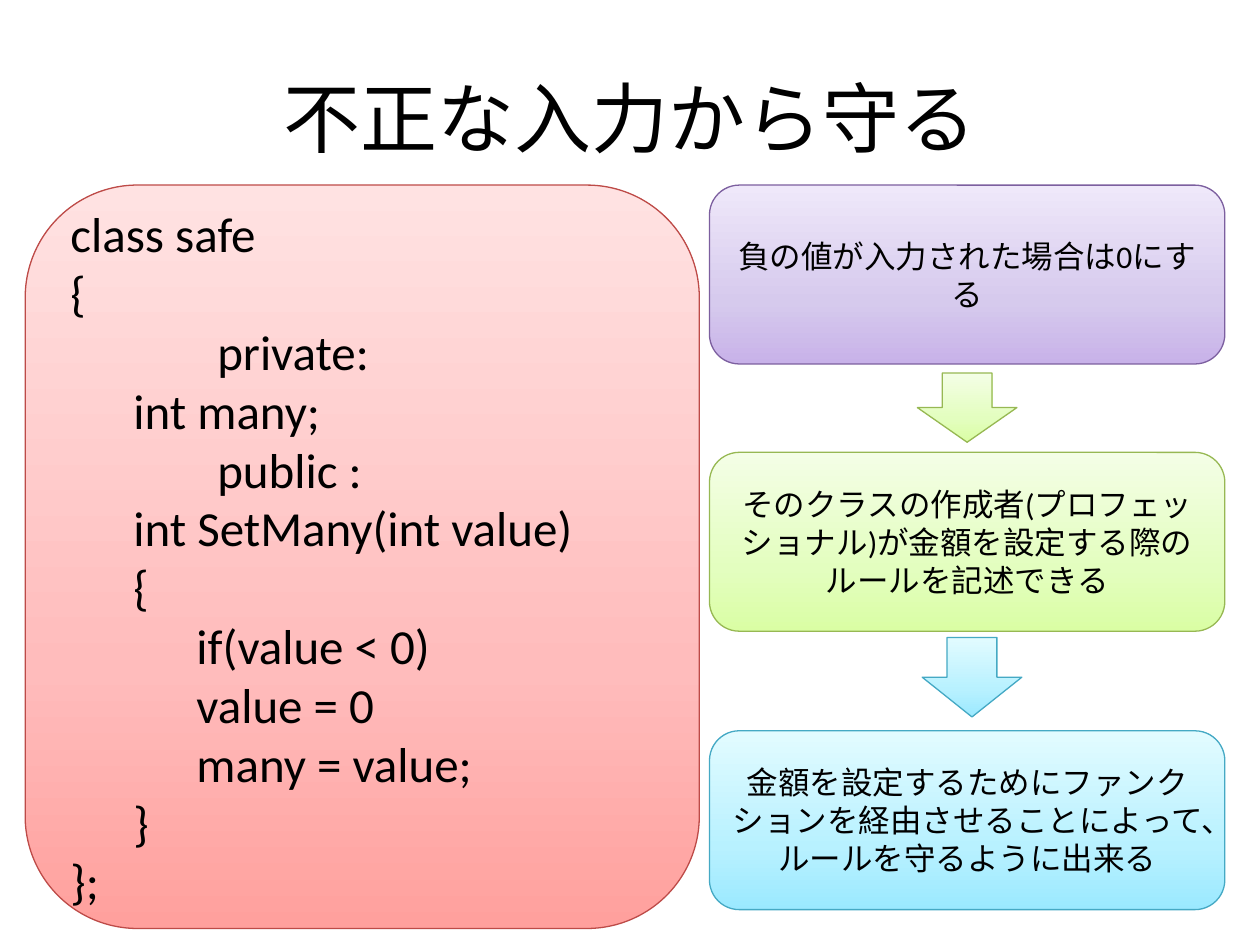
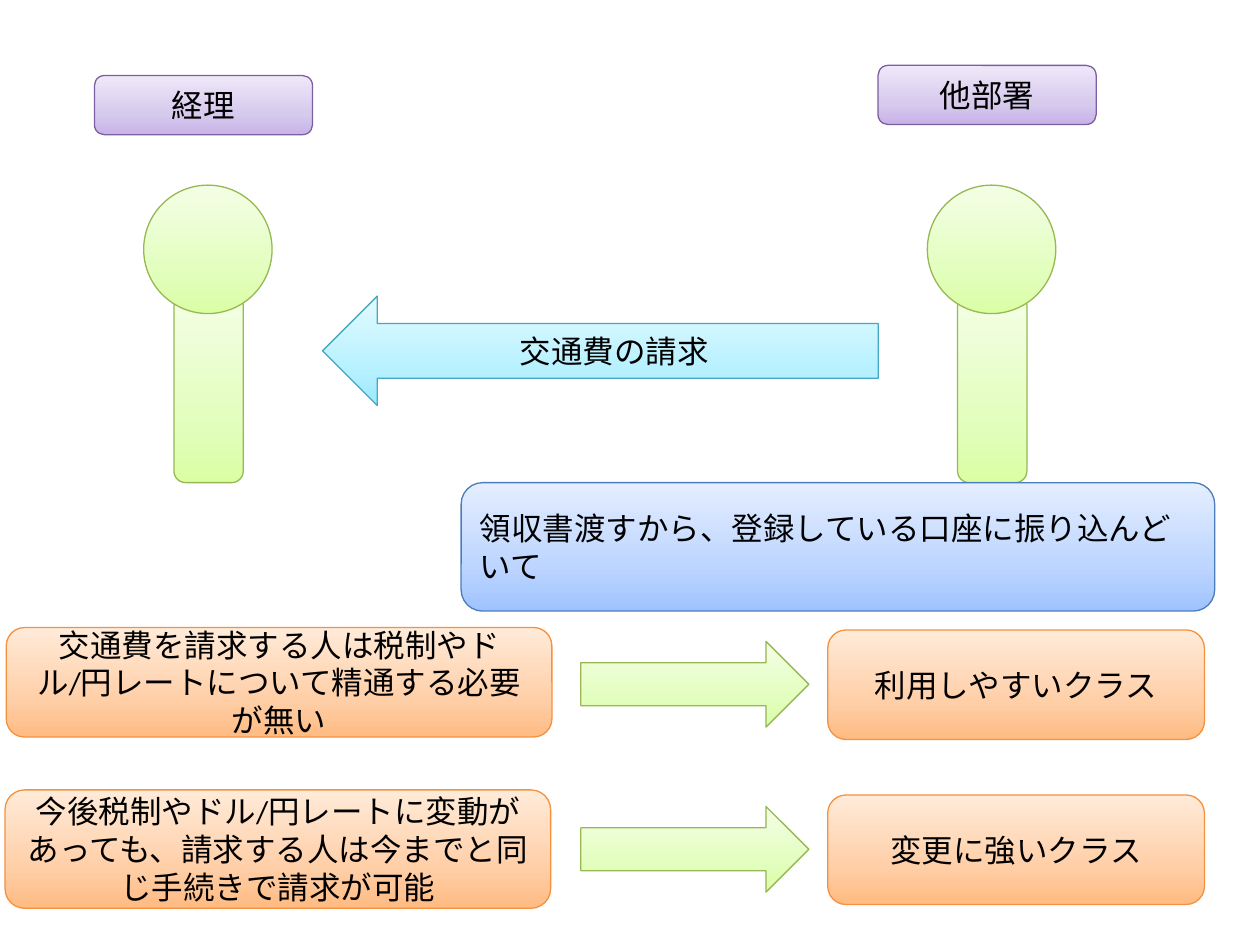
import copy

import pptx
import pptx.util
import pptx.dml.color
import pptx.enum.shapes
import pptx.enum.text
import pptx.oxml.ns

Pt = pptx.util.Pt
RGB = pptx.dml.color.RGBColor.from_string
SHAPE = pptx.enum.shapes.MSO_SHAPE
ALIGN = pptx.enum.text.PP_ALIGN
MIDDLE = pptx.enum.text.MSO_ANCHOR.MIDDLE

# ---- Content ----
TITLE = "不正な入力から守る"

CODE = [  # tabs, text
    (0, "class safe"),
    (0, "{"),
    (0, "　　　private:"),
    (1, "int many;"),
    (0, "　　　public :"),
    (1, "int SetMany(int value)"),
    (1, "{"),
    (2, "if(value < 0)"),
    (2, "value = 0"),
    (2, "many = value;"),
    (1, "}"),
    (0, "};"),
]

STEPS = [  # top, theme, text
    (105.8, "purple", "負の値が入力された場合は0にする"),
    (258.5, "green", "そのクラスの作成者(プロフェッショナル)が金額を設定する際のルールを記述できる"),
    (417.6, "aqua", "金額を設定するためにファンクションを経由させることによって、ルールを守るように出来る"),
]
STEP_ARROWS = [  # left, top, height, theme
    (524.2, 213.1, 39.6, "green"),
    (527, 364.3, 45.4, "aqua"),
]

PEOPLE = [  # left, label top, label
    (54, 43.2, "経理"),
    (501.8, 37.4, "他部署"),
]
REQUEST = "交通費の請求"
SPEECH = "領収書渡すから、登録している口座に振り込んどいて"

BENEFITS = [  # reason left, top and height, reason, result
    (3.6, 358.6, 62.6,
     "交通費を請求する人は税制やドル/円レートについて精通する必要が無い",
     "利用しやすいクラス"),
    (2.9, 451.4, 67.7,
     "今後税制やドル/円レートに変動があっても、請求する人は今までと同じ手続きで請求が可能",
     "変更に強いクラス"),
]

# ---- Shared style ----
FONT = "Calibri"
COLOURS = {  # bottom, lower middle, top, outline
    "red": ("FFA09D", "FFBCBC", "FFE2E2", "BD4B48"),
    "purple": ("C8B2E9", "D6CAED", "EFE8FA", "7C5F9F"),
    "green": ("DAFEA4", "E3FEBF", "F4FEE6", "97B853"),
    "aqua": ("9BE9FF", "B8F1FF", "E2FBFF", "45A9C4"),
    "blue": ("9FC3FF", "BDD5FF", "E4EEFF", "4A7DBA"),
    "orange": ("FFBB82", "FFCFA8", "FFEBD9", "F5913F"),
    "text": "000000",
}
STOPS = (0, 0.35, 1)


def write(shape, text, size=18, align=ALIGN.CENTER):
    frame = shape.text_frame
    frame.text = text
    frame.word_wrap = True
    frame.vertical_anchor = MIDDLE
    for para in frame.paragraphs:
        para.alignment = align
        for span in para.runs:
            span.font.name = FONT
            span.font.size = Pt(size)
            span.font.color.rgb = RGB(COLOURS["text"])


def add_block(page, kind, theme, left, top, width, height, text="", **style):
    """Add a shape with the shared three-stop gradient and thin outline."""
    block = page.shapes.add_shape(kind, Pt(left), Pt(top), Pt(width), Pt(height))
    block.shadow.inherit = False
    *tints, outline = COLOURS[theme]
    block.fill.gradient()
    block.fill.gradient_angle = 90
    stop_list = block.element.spPr.find(".//" + pptx.oxml.ns.qn("a:gsLst"))
    stop_list.append(copy.deepcopy(stop_list[0]))
    for stop, position, tint in zip(block.fill.gradient_stops, STOPS, tints):
        stop.position = position
        stop.color.rgb = RGB(tint)
    block.line.color.rgb = RGB(outline)
    block.line.width = Pt(0.75)
    if text:
        write(block, text, **style)
    return block


def build_protection_page(deck):
    page = deck.slides.add_slide(deck.slide_layouts[5])
    title = page.shapes.title
    title.left, title.top, title.width, title.height = Pt(36), Pt(21.6), Pt(648), Pt(90)
    write(title, TITLE, size=44)

    # Class listing
    listing = "\n".join("\t" * tabs + text for tabs, text in CODE)
    add_block(page, SHAPE.ROUNDED_RECTANGLE, "red", 14.4, 105.8, 385.2, 424.8,
              listing, size=28, align=ALIGN.LEFT)

    # Steps and the arrows between them
    for top, theme, text in STEPS:
        add_block(page, SHAPE.ROUNDED_RECTANGLE, theme, 405.4, top, 294.5, 102.2, text)
    for left, top, height, theme in STEP_ARROWS:
        add_block(page, SHAPE.DOWN_ARROW, theme, left, top, 56.9, height)


def build_request_page(deck):
    page = deck.slides.add_slide(deck.slide_layouts[6])

    # Figures with their department labels
    for left, label_top, label in PEOPLE:
        add_block(page, SHAPE.ROUNDED_RECTANGLE, "green", left + 45.4, 167.8, 39.6, 108)
        add_block(page, SHAPE.OVAL, "green", left + 28.1, 105.8, 73.4, 73.4)
        add_block(page, SHAPE.ROUNDED_RECTANGLE, "purple", left, label_top, 124.6, 33.8, label)

    # Request and what is said
    add_block(page, SHAPE.LEFT_ARROW, "aqua", 184.3, 169.2, 317.5, 62.6, REQUEST)
    add_block(page, SHAPE.ROUNDED_RECTANGLE, "blue", 263.5, 275.8, 430.6, 73.4,
              SPEECH, align=ALIGN.LEFT)

    # Each reason leads to a quality of the class
    for row, (left, top, height, reason, result) in enumerate(BENEFITS):
        result_top = 360 + row * 94.3
        add_block(page, SHAPE.ROUNDED_RECTANGLE, "orange", left, top, 311.8, height, reason)
        add_block(page, SHAPE.RIGHT_ARROW, "green", 331.9, result_top + 6.5, 130.3, 49)
        add_block(page, SHAPE.ROUNDED_RECTANGLE, "orange", 473, result_top, 215.3, 62.6, result)


def main():
    deck = pptx.Presentation()
    deck.slide_width, deck.slide_height = Pt(720), Pt(540)
    build_protection_page(deck)
    build_request_page(deck)
    deck.save("out.pptx")


if __name__ == "__main__":
    main()
